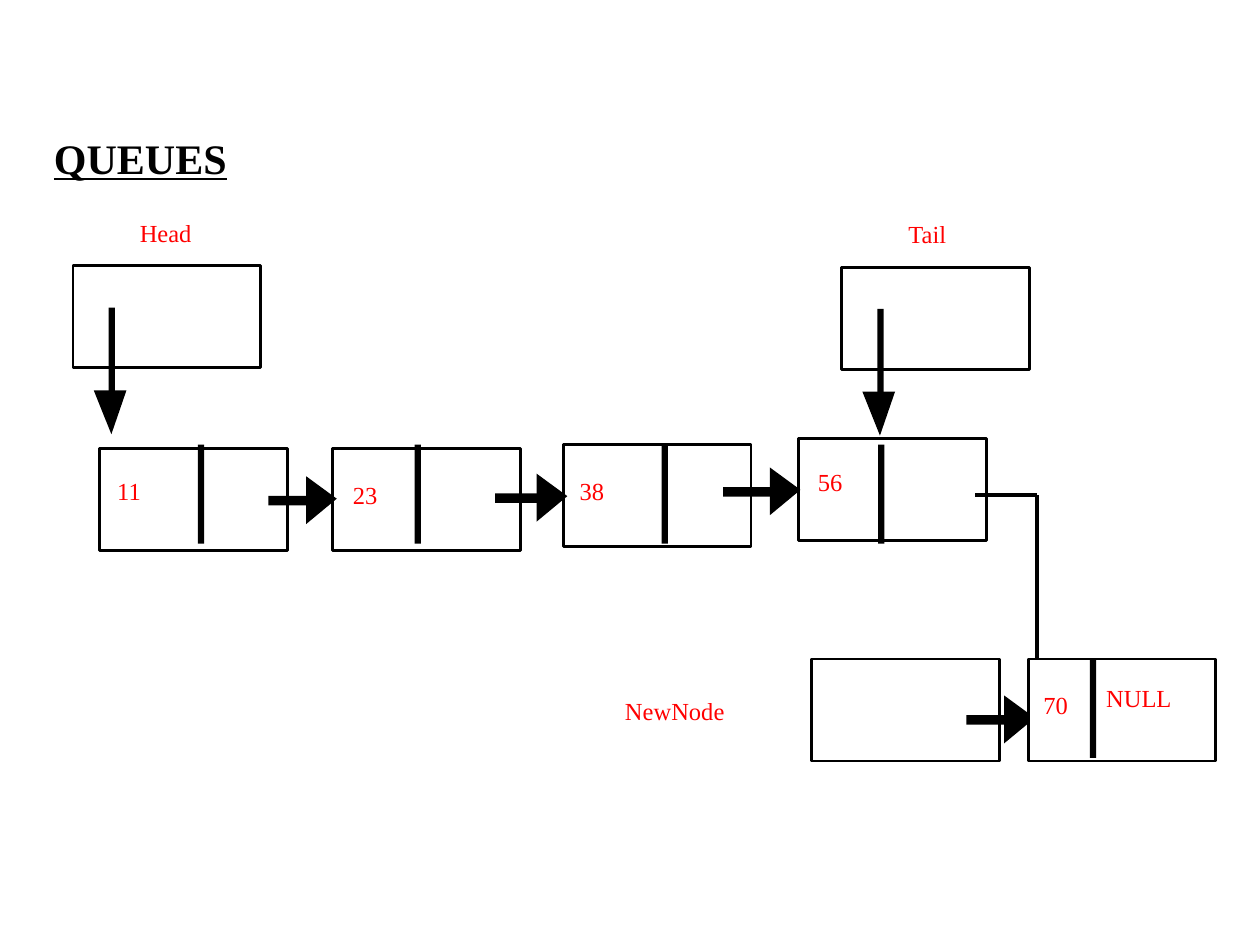
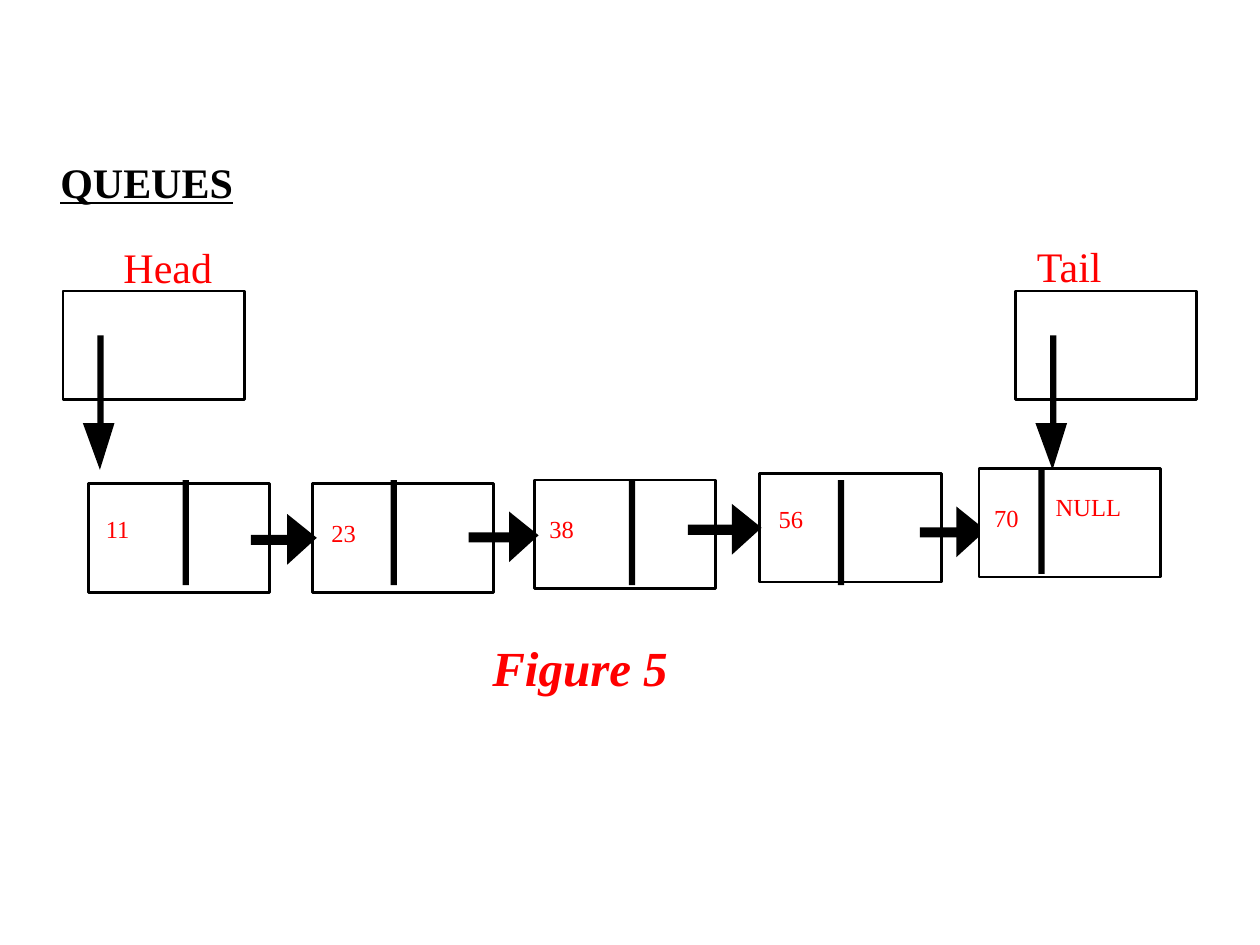
from lxml import etree
from pptx import Presentation
from pptx.dml.color import RGBColor
from pptx.enum import shapes, text
from pptx.oxml.ns import qn
from pptx.util import Cm, Pt

FONT, BLACK, WHITE, RED = "Times New Roman", "000000", "FFFFFF", "FF0000"

# Places are in inches.
# node: value, box corner, bar corner, value corner
# link: shaft left, head left, head top
# label: wording, box, size in points
SLIDES = [
    dict(
        title=(0.33, 1), box=(1.49, 0.81),
        cells=[(0.58, 2.11), (6.68, 2.12), (6.44, 5.23)],
        points=[(0.58, 2.11), (6.68, 2.12)],
        nodes=[("11", (0.79, 3.56), (1.57, 3.53), (0.93, 3.78)),
               ("23", (2.64, 3.56), (3.29, 3.53), (2.8, 3.81)),
               ("38", (4.47, 3.53), (5.25, 3.53), (4.6, 3.78)),
               ("56", (6.34, 3.48), (6.97, 3.53), (6.49, 3.71))],
        links=[(2.13, 2.43, 3.78), (3.93, 4.26, 3.76),
               (5.74, 6.11, 3.71), (7.67, 7.97, 5.52)],
        lines=[(7.74, 3.93, 8.23, 3.93, False), (8.23, 3.93, 8.23, 5.34, True)],
        last=("70", (8.16, 5.23), (8.65, 5.23), (8.28, 5.48)),
        labels=[("Head", (1.11, 1.73, 0.44, 0.36), 14),
                ("Tail", (7.21, 1.74, 0.44, 0.36), 14),
                ("NewNode", (4.96, 5.52, 1.18, 0.28), 14)],
        null=(8.68, 5.37, 0.98, 0.57), caption=None),
    dict(
        title=(0.38, 1.19), box=(1.44, 0.86),
        cells=[(0.5, 2.31), (8.06, 2.31)],
        points=[(0.5, 2.31), (8.06, 2.31)],
        nodes=[("11", (0.7, 3.84), (1.45, 3.81), (0.84, 4.08)),
               ("23", (2.48, 3.84), (3.1, 3.81), (2.63, 4.11)),
               ("38", (4.24, 3.81), (4.99, 3.81), (4.36, 4.08)),
               ("56", (6.03, 3.76), (6.65, 3.81), (6.18, 4))],
        links=[(1.99, 2.28, 4.08), (3.72, 4.04, 4.06),
               (5.46, 5.81, 4), (7.3, 7.59, 4.02)],
        lines=[],
        last=("70", (7.77, 3.72), (8.24, 3.72), (7.89, 3.99)),
        labels=[("Head", (0.98, 1.92, 0.75, 0.42), 24),
                ("Tail", (8.23, 1.91, 0.77, 0.34), 24)],
        null=(8.28, 3.86, 0.95, 0.6),
        caption=("Figure 5", (3.81, 5.01, 2.13, 0.6))),
]


def cm(inch):
    return Cm(inch * 2.54)


def color(code):
    return RGBColor.from_string(code)


def paint(shape, fill, edge=None):
    shape.shadow.inherit = False
    shape.fill.solid()
    shape.fill.fore_color.rgb = color(fill)
    if edge:
        shape.line.color.rgb = color(edge)
        shape.line.width = Pt(1.62)
    else:
        shape.line.fill.background()


def rect(slide, x, y, w, h, fill=BLACK, edge=None):
    kind = shapes.MSO_SHAPE.RECTANGLE
    paint(slide.shapes.add_shape(kind, cm(x), cm(y), cm(w), cm(h)), fill, edge)


def wedge(slide, *spots):
    """Draw a solid arrowhead through three spots."""
    first, *rest = [(cm(x), cm(y)) for x, y in spots]
    pen = slide.shapes.build_freeform(*first)
    pen.add_line_segments(rest, close=True)
    paint(pen.convert_to_shape(), BLACK)


def write(slide, words, place, size=14, tone=RED, pad=False, wrap=False, **style):
    box = slide.shapes.add_textbox(*map(cm, place))
    frame = box.text_frame
    frame.word_wrap = wrap
    frame.vertical_anchor = text.MSO_ANCHOR.TOP
    frame.margin_left = frame.margin_right = cm(0.1 if pad else 0)
    frame.margin_top = frame.margin_bottom = cm(0.05 if pad else 0)
    para = frame.paragraphs[0]
    para.alignment = text.PP_ALIGN.LEFT
    run = para.add_run()
    run.text = words
    run.font.name, run.font.size = FONT, Pt(size)
    run.font.color.rgb = color(tone)
    for key, value in style.items():
        setattr(run.font, key, value)


def node(slide, size, value, corner, bar, spot):
    w, h = size
    rect(slide, *corner, w, h, WHITE, BLACK)
    rect(slide, *bar, 0.05, h * 0.97)
    write(slide, value, (*spot, 0.21, 0.36))


def point(slide, size, corner):
    """Draw the arrow that leaves a pointer cell downwards."""
    (w, h), (x, y) = size, corner
    rect(slide, x + 0.19 * w, y + 0.41 * h, 0.05, 0.88 * h)
    left, top = x + 0.11 * w, y + 1.22 * h
    wide, tall = 0.174 * w, 0.43 * h
    wedge(slide, (left, top), (left + 0.54 * wide, top + tall), (left + wide, top))


def link(slide, size, start, left, top):
    """Draw the arrow that leads right to the next node."""
    wide, tall = size[0] * 0.163, size[1] * 0.468
    rect(slide, start, top + 0.41 * tall, left + 0.03 - start, 0.2 * tall)
    wedge(slide, (left, top + tall), (left + wide, top + 0.47 * tall), (left, top))


def line(slide, x1, y1, x2, y2, arrow):
    kind = shapes.MSO_CONNECTOR.STRAIGHT
    wire = slide.shapes.add_connector(kind, *map(cm, (x1, y1, x2, y2)))
    wire.line.color.rgb = color(BLACK)
    wire.line.width = Pt(2.25)
    if arrow:
        etree.SubElement(wire.line._get_or_add_ln(), qn("a:tailEnd"), type="triangle")
    etree.SubElement(wire._element.spPr, qn("a:effectLst"))


def draw(slide, data):
    size = data["box"]
    write(slide, "QUEUES", (*data["title"], 3.88, 0.5), 24, BLACK, True, True,
          bold=True, underline=True)
    for corner in data["cells"]:
        rect(slide, *corner, *size, WHITE, BLACK)
    for item in data["nodes"]:
        node(slide, size, *item)
    for corner in data["points"]:
        point(slide, size, corner)
    for item in data["links"]:
        link(slide, size, *item)
    for item in data["lines"]:
        line(slide, *item)
    node(slide, size, *data["last"])
    for item in data["labels"]:
        write(slide, *item)
    write(slide, "NULL", data["null"], pad=True, wrap=True)
    if data["caption"]:
        write(slide, *data["caption"], 28, pad=True, wrap=True,
              bold=True, italic=True)


def main():
    deck = Presentation()
    deck.slide_width, deck.slide_height = Cm(25.4), Cm(19.05)
    for data in SLIDES:
        draw(deck.slides.add_slide(deck.slide_layouts[6]), data)
    deck.save("out.pptx")


if __name__ == "__main__":
    main()
